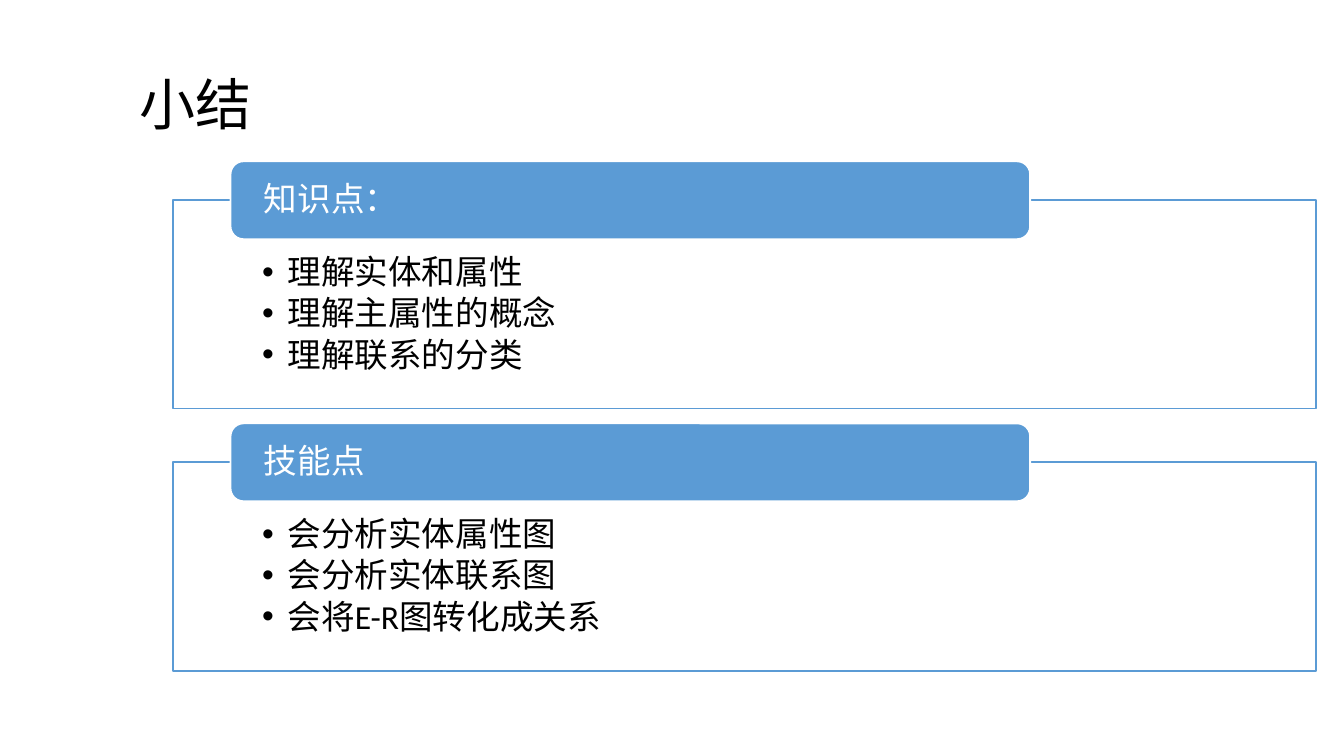
"""Build a summary slide with two titled panels of bullet points."""
from lxml.etree import SubElement
from pptx import Presentation
from pptx.dml.color import RGBColor
from pptx.enum.shapes import MSO_SHAPE as Shape
from pptx.enum.text import MSO_ANCHOR as Anchor, PP_ALIGN as Align
from pptx.oxml.ns import qn
from pptx.util import Inches, Pt

BLACK = RGBColor(0x00, 0x00, 0x00)
WHITE = RGBColor(0xFF, 0xFF, 0xFF)
BLUE = RGBColor(0x5B, 0x9B, 0xD5)
CJK_FONT = "Noto Sans CJK SC"

SECTIONS = [
    ("知识点：", ["理解实体和属性", "理解主属性的概念", "理解联系的分类"]),
    ("技能点", ["会分析实体属性图", "会分析实体联系图", "会将E-R图转化成关系"]),
]


def write(shape, lines, size=18, font="Calibri", color=BLACK, anchor=Anchor.MIDDLE,
          side=0.1, top=0.0, bottom=0.0, gap=0.0, bullet=False):
    frame = shape.text_frame
    frame.word_wrap = True
    frame.vertical_anchor = anchor
    frame.margin_left = frame.margin_right = Inches(side)
    frame.margin_top, frame.margin_bottom = Inches(top), Inches(bottom)
    for index, line in enumerate(lines):
        paragraph = frame.add_paragraph() if index else frame.paragraphs[0]
        paragraph.alignment = Align.LEFT
        paragraph.line_spacing = 0.9
        paragraph.space_after = Pt(gap * size)
        run = paragraph.add_run()
        run.text = line
        run.font.size, run.font.name = Pt(size), font
        run.font.color.rgb = color
        SubElement(run.font._element, qn("a:ea"), typeface=CJK_FONT)
        if bullet:
            paragraph.level = 1
            properties = paragraph._p.get_or_add_pPr()
            properties.set("marL", str(Inches(0.19)))
            properties.set("indent", str(-Inches(0.19)))
            SubElement(properties, qn("a:buFont"), typeface="Arial")
            SubElement(properties, qn("a:buChar"), char="•")


def add_box(kind, left, top, width, height, fill, line):
    box = slide.shapes.add_shape(kind, *map(Inches, (left, top, width, height)))
    box.shadow.inherit = False
    box.fill.solid()
    box.fill.fore_color.rgb = fill
    box.line.color.rgb = line
    box.line.width = Pt(1)
    return box


deck = Presentation()
deck.slide_width = Inches(10)
deck.slide_height = deck.slide_width * 9 // 16
slide = deck.slides.add_slide(deck.slide_layouts[6])

title = slide.shapes.add_textbox(*map(Inches, (0.94, 0.45, 8.62, 0.7)))
write(title, ["小结"], size=30, font=CJK_FONT)

panel_left, panel_width, panel_height = 1.29, 8.5, 1.55
first_top, row_pitch = 1.49, 1.95
heading_height = 0.58
heading_left = panel_left + 0.05 * panel_width
heading_width = 0.7 * panel_width

for row, (heading, points) in enumerate(SECTIONS):
    panel_top = first_top + row * row_pitch
    panel = add_box(Shape.RECTANGLE, panel_left, panel_top, panel_width, panel_height,
                    WHITE, BLUE)
    panel_color = panel.fill._xPr.find(qn("a:solidFill"))[0]
    SubElement(panel_color, qn("a:alpha"), val="90000")
    write(panel, points, anchor=Anchor.TOP, side=0.66, top=0.41, bottom=0.14,
          gap=0.15, bullet=True)
    tab = add_box(Shape.ROUNDED_RECTANGLE, heading_left, panel_top - heading_height / 2,
                  heading_width, heading_height, BLUE, WHITE)
    write(tab, [heading], color=WHITE, side=0.22)

deck.save("out.pptx")
